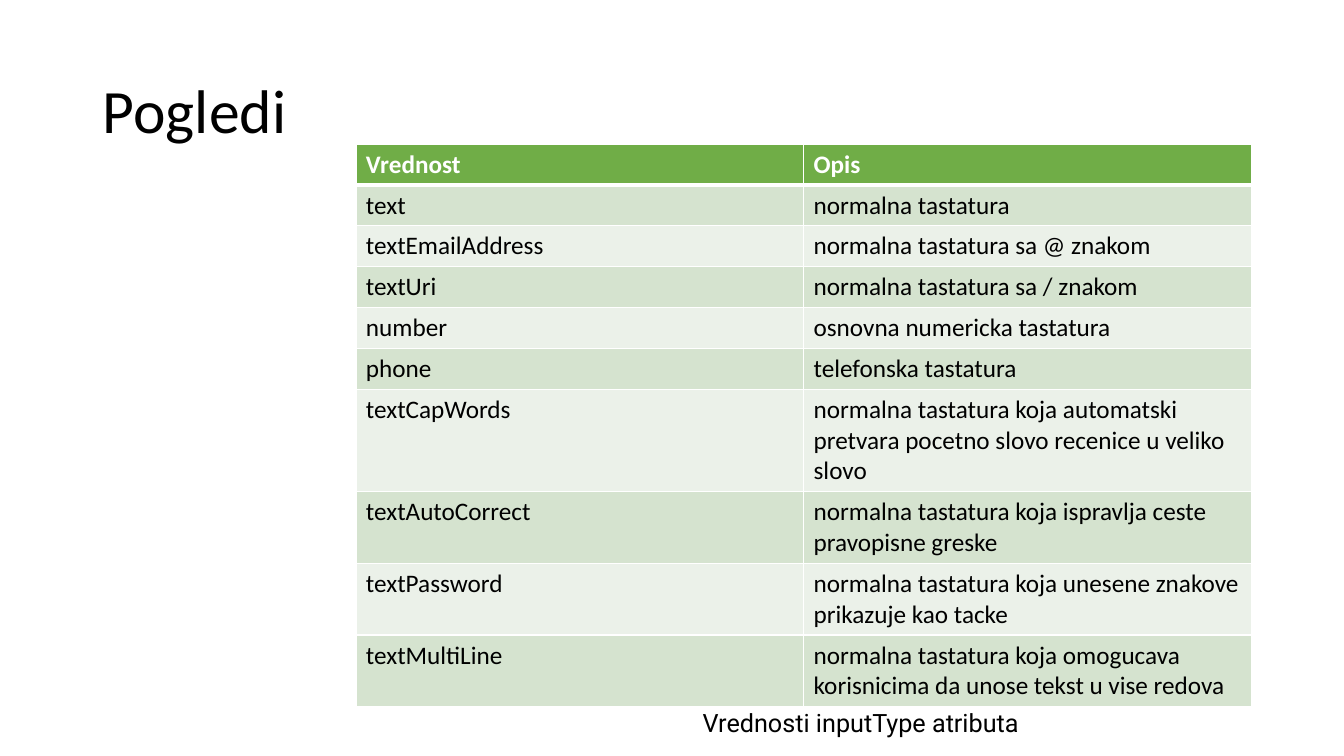
from dataclasses import dataclass

from lxml.etree import SubElement
from pptx import Presentation
from pptx.dml.color import RGBColor
from pptx.enum.text import MSO_ANCHOR, MSO_AUTO_SIZE, PP_ALIGN
from pptx.oxml.ns import qn
from pptx.slide import Slide
from pptx.table import _Cell
from pptx.text.text import _Paragraph
from pptx.util import Inches, Pt

COLORS = {
    "text": "000000",
    "header_text": "FFFFFF",
    "border": "FFFFFF",
    "header": "70AD47",
    "odd_row": "D5E3CF",
    "even_row": "EBF1E9",
}
ROW_HEIGHT = 0.4
COLUMN_WIDTH = 4.44


@dataclass
class InputType:
    value: str
    description: str


HEADER = InputType("Vrednost", "Opis")
INPUT_TYPES = [
    InputType("text", "normalna tastatura"),
    InputType("textEmailAddress", "normalna tastatura sa @ znakom"),
    InputType("textUri", "normalna tastatura sa / znakom"),
    InputType("number", "osnovna numericka tastatura"),
    InputType("phone", "telefonska tastatura"),
    InputType(
        "textCapWords",
        "normalna tastatura koja automatski pretvara pocetno slovo recenice u veliko slovo",
    ),
    InputType("textAutoCorrect", "normalna tastatura koja ispravlja ceste pravopisne greske"),
    InputType("textPassword", "normalna tastatura koja unesene znakove prikazuje kao tacke"),
    InputType(
        "textMultiLine",
        "normalna tastatura koja omogucava korisnicima da unose tekst u vise redova",
    ),
]


def add_run(
    paragraph: _Paragraph,
    text: str,
    size: int = 18,
    font: str = "Calibri",
    color: str = "text",
    bold: bool = False,
) -> None:
    run = paragraph.add_run()
    run.text = text
    run.font.size = Pt(size)
    run.font.name = font
    run.font.bold = bold
    run.font.color.rgb = RGBColor.from_string(COLORS[color])


def set_borders(cell: _Cell, top: int, bottom: int) -> None:
    properties = cell._tc.get_or_add_tcPr()
    for side, width in {"L": 1, "R": 1, "T": top, "B": bottom}.items():
        line = SubElement(properties, qn(f"a:ln{side}"), w=str(Pt(width)))
        fill = SubElement(line, qn("a:solidFill"))
        SubElement(fill, qn("a:srgbClr"), val=COLORS["border"])


def add_title(slide: Slide, text: str) -> None:
    title = slide.shapes.title
    title.left, title.top = Inches(0.92), Inches(0.4)
    title.width, title.height = Inches(11.5), Inches(1.45)
    frame = title.text_frame
    frame.auto_size = MSO_AUTO_SIZE.NONE
    frame.vertical_anchor = MSO_ANCHOR.MIDDLE
    paragraph = frame.paragraphs[0]
    paragraph.alignment = PP_ALIGN.LEFT
    paragraph.line_spacing = 0.9
    add_run(paragraph, text, size=44)


def add_input_table(slide: Slide) -> None:
    rows = [HEADER, *INPUT_TYPES]
    table = slide.shapes.add_table(
        len(rows), 2, Inches(3.53), Inches(1.43),
        Inches(2 * COLUMN_WIDTH), Inches(ROW_HEIGHT * len(rows)),
    ).table
    for row_index, input_type in enumerate(rows):
        is_header = row_index == 0
        fill = "header" if is_header else "odd_row" if row_index % 2 else "even_row"
        for column_index, text in enumerate((input_type.value, input_type.description)):
            cell = table.cell(row_index, column_index)
            set_borders(cell, top=3 if row_index == 1 else 1, bottom=3 if is_header else 1)
            cell.fill.solid()
            cell.fill.fore_color.rgb = RGBColor.from_string(COLORS[fill])
            add_run(
                cell.text_frame.paragraphs[0], text,
                color="header_text" if is_header else "text", bold=is_header,
            )


def add_caption(slide: Slide, text: str) -> None:
    caption = slide.shapes.add_textbox(Inches(6.87), Inches(6.97), Inches(3.33), Inches(0.4))
    frame = caption.text_frame
    frame.word_wrap = False
    frame.auto_size = MSO_AUTO_SIZE.NONE
    frame.margin_right = Inches(0)
    add_run(frame.paragraphs[0], text, font="Roboto")


def main() -> None:
    presentation = Presentation()
    presentation.slide_width = Inches(13.33)
    presentation.slide_height = Inches(7.5)
    slide = presentation.slides.add_slide(presentation.slide_layouts[5])
    add_title(slide, "Pogledi")
    add_input_table(slide)
    add_caption(slide, "Vrednosti inputType atributa")
    presentation.save("out.pptx")


if __name__ == "__main__":
    main()
